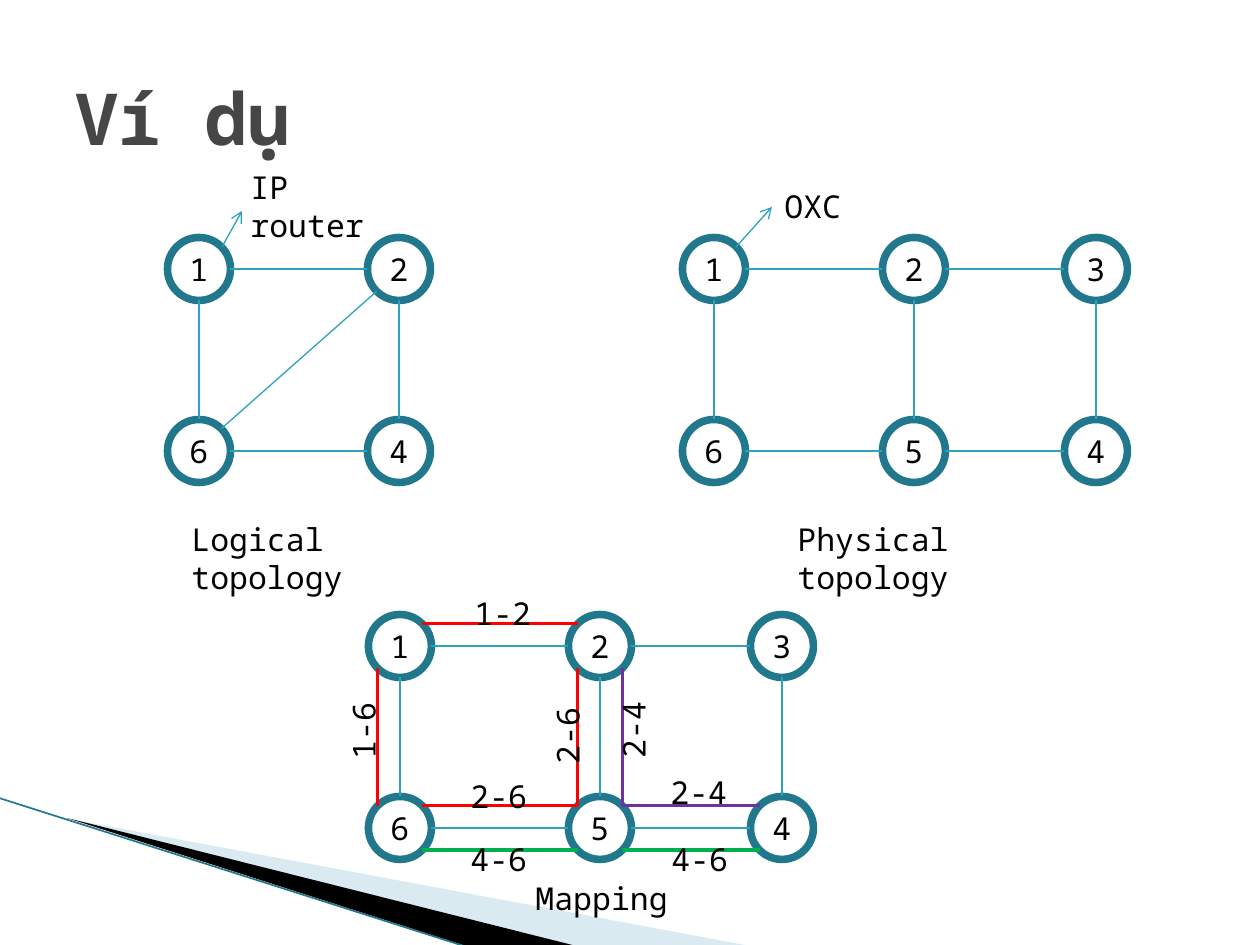
from math import sqrt

from lxml import etree
from pptx import Presentation
from pptx.dml.color import RGBColor
from pptx.enum.shapes import MSO_CONNECTOR as Connector, MSO_SHAPE as Preset
from pptx.enum.text import MSO_ANCHOR as Anchor, MSO_AUTO_SIZE as AutoSize, PP_ALIGN as Align
from pptx.oxml.ns import qn
from pptx.util import Inches, Pt

PIXEL = Inches(1) / 126
FONT = "Noto Sans Mono"
COLORS = {
    "title": "464646", "text": "000000", "ring": "21788D", "link": "2DA2BF",
    "red": "FF0000", "green": "00B050", "purple": "7030A0",
    "pale": "A0CBDC", "black": "000000",
}
RADIUS = 31.5
COLUMNS = (0, 200, 382)
ROWS = (0, 182)
LOGICAL = {"1": (0, 0), "2": (1, 0), "4": (1, 1), "6": (0, 1)}
PHYSICAL = {"1": (0, 0), "2": (1, 0), "3": (2, 0),
            "5": (1, 1), "6": (0, 1), "4": (2, 1)}
LOGICAL_LINKS = ("12", "24", "16", "64", "26")
PHYSICAL_LINKS = ("12", "23", "34", "54", "25", "16", "65")
# Lightpath segments: start node, its corner, end node, its corner, colour
LIGHTPATHS = (
    ("2", (-1, 1), "5", (-1, -1), "red"),
    ("5", (-1, -1), "6", (1, -1), "red"),
    ("6", (1, 1), "5", (-1, 1), "green"),
    ("5", (1, 1), "4", (-1, 1), "green"),
    ("2", (1, 1), "5", (1, -1), "purple"),
    ("5", (1, -1), "4", (-1, -1), "purple"),
    ("1", (1, -1), "2", (-1, -1), "red"),
    ("1", (-1, 1), "6", (-1, -1), "red"),
)
# Labels: text, left, top, width, rotation
LABELS = (
    ("Physical topology", 785, 514, 310, 0),
    ("Logical topology", 179, 514, 294, 0),
    ("Mapping", 523, 873, 169, 0),
    ("OXC", 772, 181, 95, 0),
    ("IP router", 238, 162, 142, 0),
    ("1-2", 462, 588, 85, 0),
    ("4-6", 458, 834, 85, 0),
    ("1-6", 316, 699, 95, 270),
    ("2-6", 525, 709, 85, 270),
    ("2-6", 458, 771, 85, 0),
    ("4-6", 659, 834, 85, 0),
    ("2-4", 591, 703, 85, 270),
    ("2-4", 658, 767, 85, 0),
)


def emu(*pixels):
    """Turn pixel lengths into EMU."""
    return [round(value * PIXEL) for value in pixels]


def color(name):
    """Look up a named colour."""
    return RGBColor.from_string(COLORS[name])


def style_text(frame, size=18, tone="text", bold=False, align=Align.LEFT):
    """Format every run of a text frame."""
    for para in frame.paragraphs:
        para.alignment = align
        for span in para.runs:
            span.font.name = FONT
            span.font.size = Pt(size)
            span.font.bold = bold
            span.font.color.rgb = color(tone)


def add_line(page, start, end, tone="link", width=0.75, arrow=False):
    """Draw a straight line, with an arrowhead at its end if asked."""
    line = page.shapes.add_connector(Connector.STRAIGHT, *emu(*start, *end))
    line.line.color.rgb = color(tone)
    line.line.width = Pt(width)
    if arrow:
        etree.SubElement(line.line._get_or_add_ln(), qn("a:tailEnd"), type="arrow")
    etree.SubElement(line._element.spPr, qn("a:effectLst"))


def add_wedge(page, points, tone, opacity=100):
    """Draw a filled polygon without an outline."""
    builder = page.shapes.build_freeform(*points[0], scale=PIXEL)
    builder.add_line_segments(points[1:], close=True)
    wedge = builder.convert_to_shape()
    wedge.shadow.inherit = False
    wedge.fill.solid()
    wedge.fill.fore_color.rgb = color(tone)
    wedge.line.fill.background()
    if opacity < 100:
        tint = wedge._element.spPr.find(".//" + qn("a:srgbClr"))
        etree.SubElement(tint, qn("a:alpha"), val=str(opacity * 1000))


def add_node(page, name, center):
    """Draw a numbered ring around a centre."""
    x, y = center
    node = page.shapes.add_shape(
        Preset.OVAL, *emu(x - RADIUS, y - RADIUS, 2 * RADIUS, 2 * RADIUS))
    node.shadow.inherit = False
    node.fill.background()
    node.line.color.rgb = color("ring")
    node.line.width = Pt(4.33)
    frame = node.text_frame
    frame.margin_left = frame.margin_right = 0
    frame.vertical_anchor = Anchor.MIDDLE
    frame.text = name
    style_text(frame, align=Align.CENTER)


def add_link(page, start, end):
    """Join the rims of two nodes."""
    steps = [(b > a) - (b < a) for a, b in zip(start, end)]
    reach = RADIUS / sqrt(sum(map(abs, steps)))
    add_line(page,
             [a + step * reach for a, step in zip(start, steps)],
             [b - step * reach for b, step in zip(end, steps)])


def add_topology(page, origin, places, links):
    """Draw a network and return the centres of its nodes."""
    centers = {name: (origin[0] + COLUMNS[column], origin[1] + ROWS[row])
               for name, (column, row) in places.items()}
    for name, center in centers.items():
        add_node(page, name, center)
    for start, end in links:
        add_link(page, centers[start], centers[end])
    return centers


def corner(center, side):
    """Give the diagonal point on a node's rim."""
    return [a + step * RADIUS / sqrt(2) for a, step in zip(center, side)]


def add_label(page, text, left, top, width, rotation):
    """Add a wrapped text box."""
    box = page.shapes.add_textbox(*emu(left, top, width, 51))
    box.rotation = rotation
    frame = box.text_frame
    frame.word_wrap = True
    frame.auto_size = AutoSize.SHAPE_TO_FIT_TEXT
    frame.text = text
    style_text(frame)


def set_title(page, text):
    """Place and format the title."""
    title = page.shapes.title
    title.left, title.top, title.width, title.height = emu(63, 38, 1134, 157)
    title.text_frame.text = text
    title.text_frame.vertical_anchor = Anchor.MIDDLE
    style_text(title.text_frame, 41, "title", True)


def main():
    """Build the slide."""
    deck = Presentation()
    deck.slide_width, deck.slide_height = Inches(10), Inches(7.5)
    page = deck.slides.add_slide(deck.slide_layouts[5])
    set_title(page, "Ví dụ")
    add_wedge(page, [(69, 819), (750, 946), (575, 946)], "pale", 40)
    add_wedge(page, [(67, 818), (576, 946), (469, 947)], "black")
    add_line(page, (-1, 798), (467, 947), "ring", 0.95)

    add_topology(page, (714, 269), PHYSICAL, PHYSICAL_LINKS)
    add_topology(page, (199, 269), LOGICAL, LOGICAL_LINKS)
    nodes = add_topology(page, (400, 646), PHYSICAL, PHYSICAL_LINKS)
    for start, start_side, end, end_side, tone in LIGHTPATHS:
        add_line(page, corner(nodes[start], start_side),
                 corner(nodes[end], end_side), tone, 2)

    add_line(page, (736, 247), (772, 207), arrow=True)
    add_line(page, (222, 247), (242, 211), arrow=True)
    for label in LABELS:
        add_label(page, *label)
    deck.save("out.pptx")


main()
